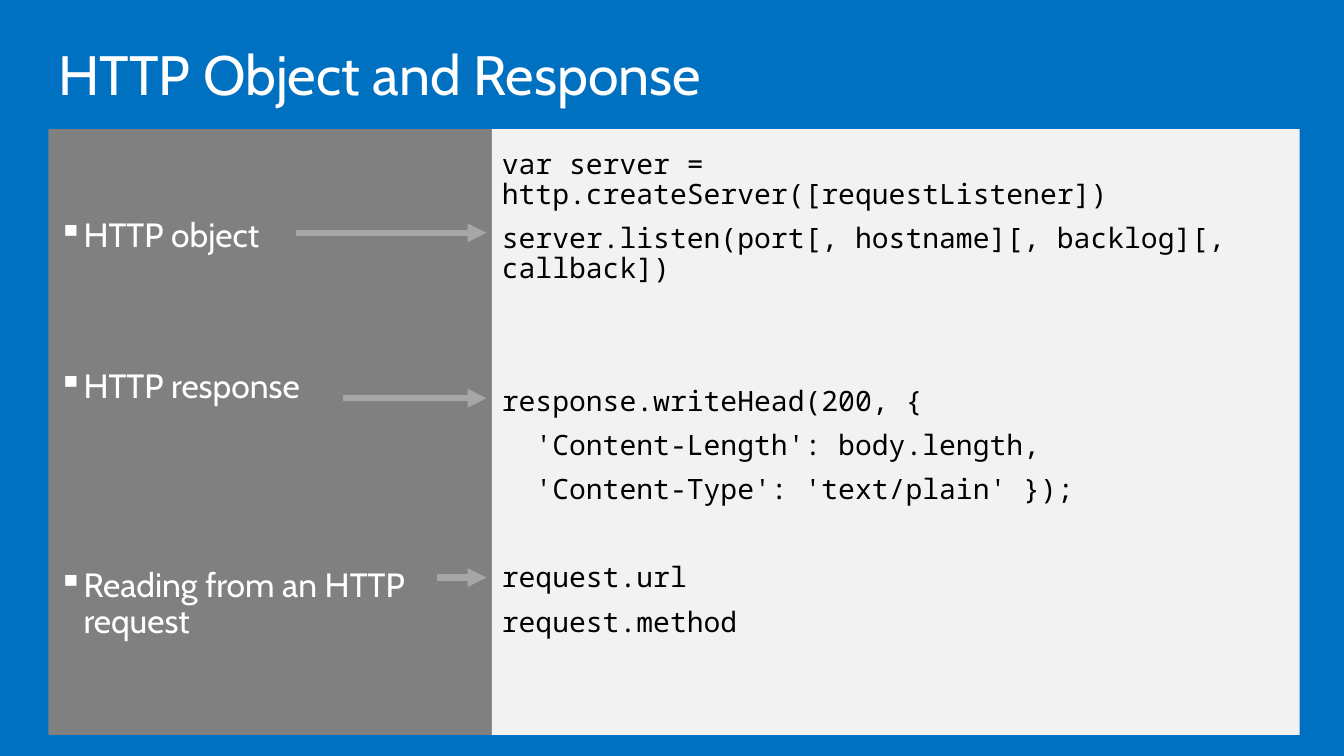
from lxml import etree
from pptx import Presentation
from pptx.dml.color import RGBColor
from pptx.enum.shapes import MSO_CONNECTOR, MSO_SHAPE
from pptx.enum.text import MSO_ANCHOR, PP_ALIGN
from pptx.oxml.ns import qn
from pptx.util import Inches, Pt

BLUE = RGBColor(0x00, 0x70, 0xC0)
GRAY = RGBColor(0x80, 0x80, 0x80)
PALE = RGBColor(0xF2, 0xF2, 0xF2)
SILVER = RGBColor(0xA6, 0xA6, 0xA6)
WHITE = RGBColor(0xFF, 0xFF, 0xFF)
BLACK = RGBColor(0x00, 0x00, 0x00)

RECT, LINE = MSO_SHAPE.RECTANGLE, MSO_CONNECTOR.STRAIGHT
TOP, MIDDLE, LEFT = MSO_ANCHOR.TOP, MSO_ANCHOR.MIDDLE, PP_ALIGN.LEFT

SANS, MONO = "Cabin", "Noto Sans Mono"
WIDE, HIGH = Inches(13.33), Inches(7.5)
GAP = 10      # points between paragraphs
ROW = 31.43   # points from one code line to the next


class Deck:
    """Style and current slide; lengths are percent of the slide's size."""

    def __init__(self):
        self.prs = Presentation()
        self.prs.slide_width, self.prs.slide_height = WIDE, HIGH
        self.slide = self.prs.slides.add_slide(self.prs.slide_layouts[5])
        fill = self.slide.background.fill
        fill.solid()
        fill.fore_color.rgb = BLUE

    def place(self, x, y):
        return round(WIDE * x / 100), round(HIGH * y / 100)

    def style(self, para, font, size, color, before=0):
        para.alignment = LEFT
        para.line_spacing = 0.9
        para.space_before = Pt(before)
        para.font.name = font
        para.font.size = Pt(size)
        para.font.color.rgb = color

    def title(self, text, x, y, w, h):
        box = self.slide.shapes.title
        box.left, box.top = self.place(x, y)
        box.width, box.height = self.place(w, h)
        frame = box.text_frame
        frame.text = text
        frame.vertical_anchor = MIDDLE
        self.style(frame.paragraphs[0], SANS, 39.6, WHITE)

    def panel(self, x, y, w, h, fill, anchor):
        box = self.slide.shapes.add_shape(
            RECT, *self.place(x, y), *self.place(w, h))
        box.shadow.inherit = False
        box.fill.solid()
        box.fill.fore_color.rgb = fill
        box.line.fill.background()
        frame = box.text_frame
        frame.word_wrap = True
        frame.vertical_anchor = anchor
        return frame

    def text(self, frame, items, font, size, color, mark=None):
        """Fill a frame from (text, space before) pairs."""
        for i, (words, before) in enumerate(items):
            para = frame.paragraphs[0] if i == 0 else frame.add_paragraph()
            para.text = words
            if mark:
                props = para._p.get_or_add_pPr()
                props.set("marL", str(Inches(0.25)))
                props.set("indent", str(-Inches(0.25)))
                etree.SubElement(props, qn("a:buChar")).set("char", mark)
            self.style(para, font, size, color, before)

    def arrow(self, x, y, end):
        line = self.slide.shapes.add_connector(
            LINE, *self.place(x, y), *self.place(end, y))
        line.line.color.rgb = SILVER
        line.line.width = Pt(4.5)
        props = line._element.spPr
        tail = etree.SubElement(props.get_or_add_ln(), qn("a:tailEnd"))
        tail.set("type", "triangle")
        etree.SubElement(props, qn("a:effectLst"))


def main():
    deck = Deck()
    left, split, right = 3.6, 36.6, 96.7
    top, tall = 17.07, 80.13

    deck.title("HTTP Object and Response", left, 5.33, right - left, 9.73)

    # Topics
    topics = deck.panel(left, top, split - left, tall, GRAY, TOP)
    topics.margin_top = Inches(0.89)
    deck.text(topics, [
        ("HTTP object", 0),
        ("HTTP response", 81.5),
        ("Reading from an HTTP request", 116.5),
    ], SANS, 24, WHITE, "▪")

    # Code, in groups set apart by a number of rows
    code = deck.panel(split, top, right - split, tall, PALE, MIDDLE)
    code.margin_bottom = Inches(0.8)
    groups = [
        (0, ["var server = http.createServer([requestListener])",
             "server.listen(port[, hostname][, backlog][, callback])"]),
        (2, ["response.writeHead(200, {",
             "  'Content-Length': body.length,",
             "  'Content-Type': 'text/plain' });"]),
        (1, ["request.url", "request.method"]),
    ]
    lines = [(words, GAP + (skip * ROW if i == 0 else 0))
             for skip, group in groups for i, words in enumerate(group)]
    lines[0] = (lines[0][0], 0)
    deck.text(code, lines, MONO, 20, BLACK)

    # Arrows from topic to code
    for x, y in [(22.06, 30.8), (25.5, 52.67), (32.48, 76.4)]:
        deck.arrow(x, y, 36.2)

    deck.prs.save("out.pptx")


if __name__ == "__main__":
    main()
